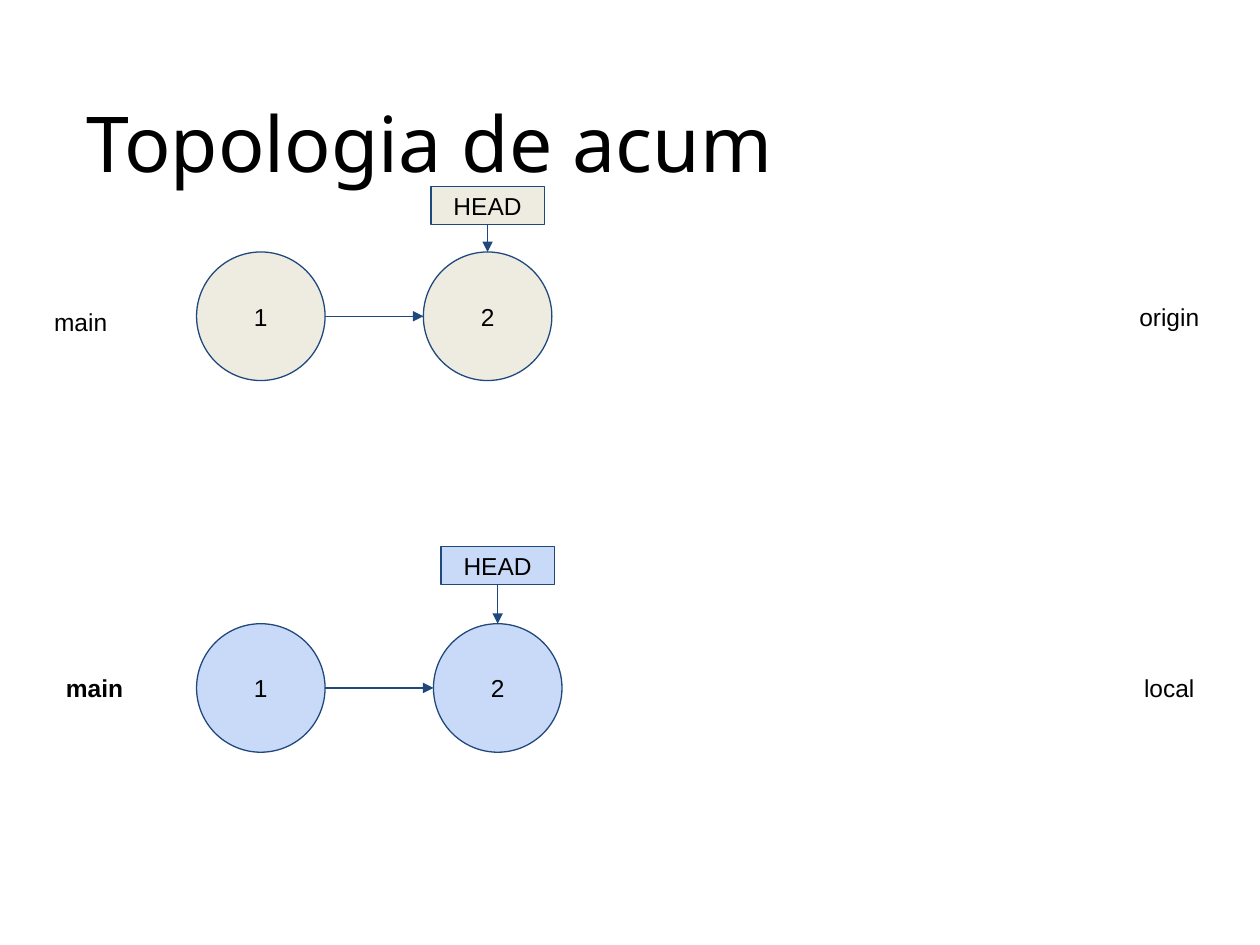
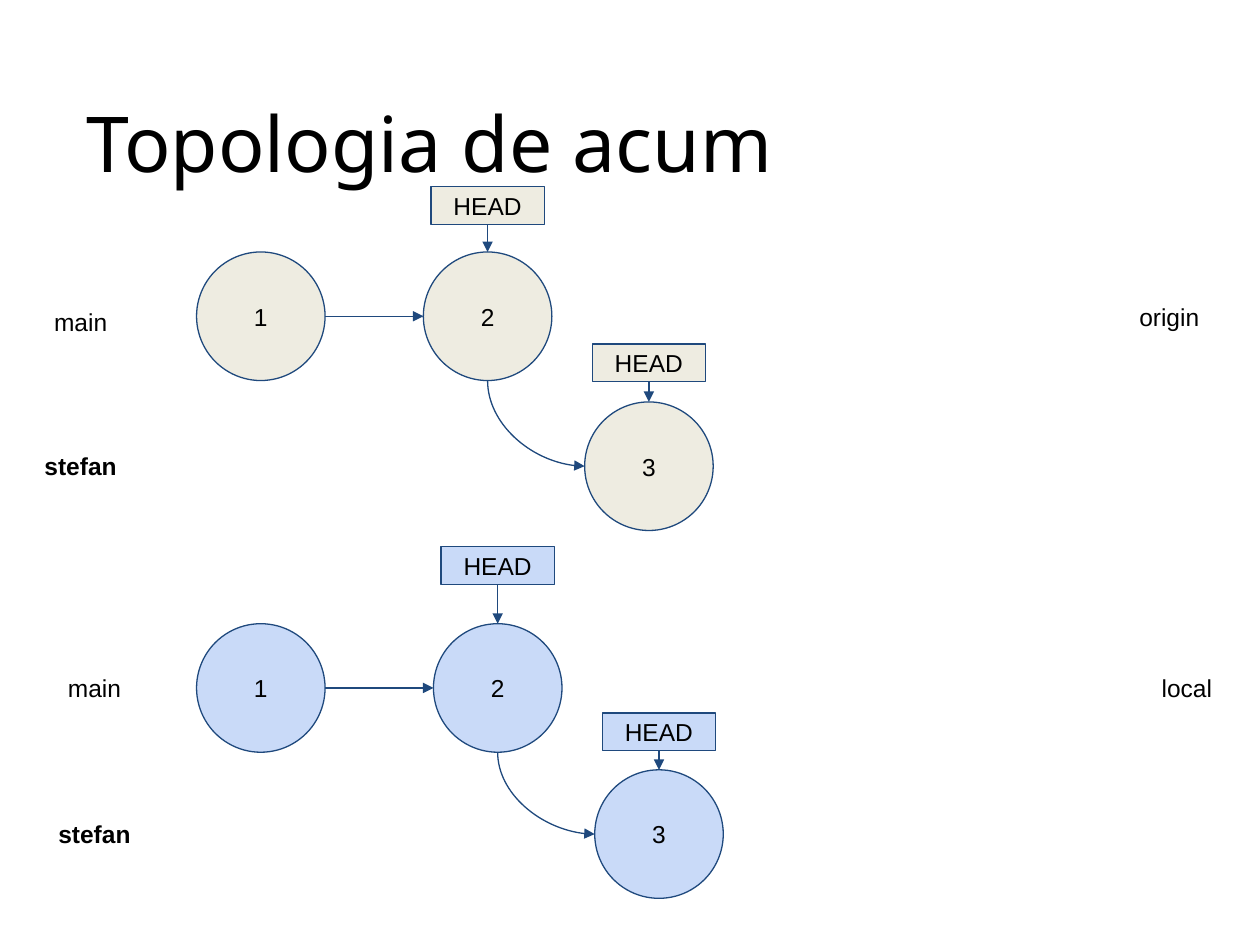
from dataclasses import dataclass

from lxml.etree import SubElement
from pptx import Presentation
from pptx.dml.color import RGBColor
from pptx.enum.shapes import MSO_CONNECTOR as Link, MSO_SHAPE as Preset
from pptx.enum.text import MSO_ANCHOR as Anchor, PP_ALIGN as Align
from pptx.oxml.ns import qn
from pptx.util import Inches, Pt

# ---- Content: lengths in inches, positions are centres ----
TITLE = "Topologia de acum"
HEAD = "HEAD"
REPOS = {
    "origin": {
        "fill": "EEECE1", "label_x": 0.64, "columns": (2.07, 3.87, 5.15),
        "main": {"y": 2.51, "label_y": 2.55, "commits": (1, 2), "head_gap": 0.22},
        "stefan": {"y": 3.70, "label_y": 3.70, "commits": (3,), "head_gap": 0.16},
    },
    "local": {
        "fill": "C9DAF8", "label_x": 0.75, "columns": (2.07, 3.95, 5.23),
        "main": {"y": 5.46, "label_y": 5.46, "commits": (1, 2), "head_gap": 0.31},
        "stefan": {"y": 6.62, "label_y": 6.62, "commits": (3,), "head_gap": 0.15},
    },
}
# Per slide: branches shown, checked-out (bold) branch and name position of each repository
SLIDES = [
    {"branches": ("main",),
     "current": {"origin": None, "local": "main"},
     "name_x": {"origin": 9.28, "local": 9.28}},
    {"branches": ("main", "stefan"),
     "current": {"origin": "stefan", "local": "stefan"},
     "name_x": {"origin": 9.28, "local": 9.42}},
]


@dataclass(frozen=True)
class Theme:
    ink: RGBColor = RGBColor.from_string("000000")
    outline: RGBColor = RGBColor.from_string("1F497D")
    stroke: Pt = Pt(0.75)
    title_font: str = "Noto Sans"
    body_font: str = "Arial"
    title_size: Pt = Pt(44)
    body_size: Pt = Pt(14)
    inset: float = 0.1


THEME = Theme()
SLIDE_SIZE = (10, 7.5)
TITLE_BOX = (0.69, 0.4, 8.62, 1.45)
COMMIT_SIZE = (1.02, 1.02)
HEAD_SIZE = (0.9, 0.3)
LABEL_SIZE = (0.78, 0.71)
RADIUS = COMMIT_SIZE[0] / 2


def centred(x, y, size):
    width, height = size
    return [Inches(v) for v in (x - width / 2, y - height / 2, width, height)]


def write(shape, text, font, size, align=Align.CENTER, inset=THEME.inset, bold=False, wrap=True):
    frame = shape.text_frame
    frame.word_wrap = wrap
    frame.vertical_anchor = Anchor.MIDDLE
    frame.margin_left = frame.margin_right = Inches(inset)
    frame.margin_top = frame.margin_bottom = Inches(inset)
    paragraph = frame.paragraphs[0]
    paragraph.alignment = align
    run = paragraph.add_run()
    run.text = text
    run.font.name, run.font.size = font, size
    run.font.bold = bold
    run.font.color.rgb = THEME.ink


def add_title(slide):
    title = slide.shapes.add_textbox(*map(Inches, TITLE_BOX))
    write(title, TITLE, THEME.title_font, THEME.title_size, Align.LEFT, inset=0)


def add_label(slide, text, x, y, bold=False):
    label = slide.shapes.add_textbox(*centred(x, y, LABEL_SIZE))
    write(label, text, THEME.body_font, THEME.body_size, bold=bold, wrap=False)


def add_node(slide, preset, text, x, y, size, fill):
    node = slide.shapes.add_shape(preset, *centred(x, y, size))
    node.shadow.inherit = False
    node.fill.solid()
    node.fill.fore_color.rgb = RGBColor.from_string(fill)
    node.line.color.rgb = THEME.outline
    node.line.width = THEME.stroke
    write(node, text, THEME.body_font, THEME.body_size, wrap=preset != Preset.RECTANGLE)
    return node


def add_arrow(slide, start, end, link=Link.STRAIGHT):
    arrow = slide.shapes.add_connector(link, *map(Inches, (*start, *end)))
    arrow.line.color.rgb = THEME.outline
    arrow.line.width = THEME.stroke
    SubElement(arrow.line._get_or_add_ln(), qn("a:tailEnd"), type="triangle")
    SubElement(arrow._element.spPr, qn("a:effectLst"))
    return arrow


def add_fork(slide, start, end):
    """Quarter curve that leaves start downwards and enters end from the left."""
    (x0, y0), (x1, y1) = start, end
    mid_x, mid_y = (x0 + x1) / 2, (y0 + y1) / 2
    half_w, half_h = (y1 - y0) / 2, (x1 - x0) / 2  # sides swap under the quarter turn
    curve = add_arrow(slide, (mid_x + half_w, mid_y - half_h),
                      (mid_x - half_w, mid_y + half_h), Link.CURVE)
    properties = curve._element.spPr
    properties.find(qn("a:xfrm")).set("rot", str(270 * 60000))
    properties.find(qn("a:prstGeom")).set("prst", "curvedConnector2")


def add_head(slide, x, commit_top, gap, fill):
    bottom = commit_top - gap
    head = add_node(slide, Preset.RECTANGLE, HEAD, x, bottom - HEAD_SIZE[1] / 2, HEAD_SIZE, fill)
    add_arrow(slide, (x, bottom), (x, commit_top)).begin_connect(head, 2)


def add_branch(slide, repo, branch):
    """Draw the commits of a branch, the arrows between them and its HEAD."""
    y, commits = branch["y"], branch["commits"]
    xs = [repo["columns"][number - 1] for number in commits]
    for number, x in zip(commits, xs):
        add_node(slide, Preset.OVAL, str(number), x, y, COMMIT_SIZE, repo["fill"])
    for before, after in zip(xs, xs[1:]):
        add_arrow(slide, (before + RADIUS, y), (after - RADIUS, y))
    add_head(slide, xs[-1], y - RADIUS, branch["head_gap"], repo["fill"])


def add_repo(slide, name, state):
    repo = REPOS[name]
    main = repo["main"]
    for branch_name in state["branches"]:
        branch = repo[branch_name]
        add_branch(slide, repo, branch)
        add_label(slide, branch_name, repo["label_x"], branch["label_y"],
                  bold=branch_name == state["current"][name])
        if branch is not main:
            parent_x = repo["columns"][main["commits"][-1] - 1]
            child_x = repo["columns"][branch["commits"][0] - 1]
            add_fork(slide, (parent_x, main["y"] + RADIUS), (child_x - RADIUS, branch["y"]))
    add_label(slide, name, state["name_x"][name], main["y"])


def main():
    deck = Presentation()
    deck.slide_width, deck.slide_height = map(Inches, SLIDE_SIZE)
    for state in SLIDES:
        slide = deck.slides.add_slide(deck.slide_layouts[6])
        add_title(slide)
        for name in REPOS:
            add_repo(slide, name, state)
    deck.save("out.pptx")


if __name__ == "__main__":
    main()
